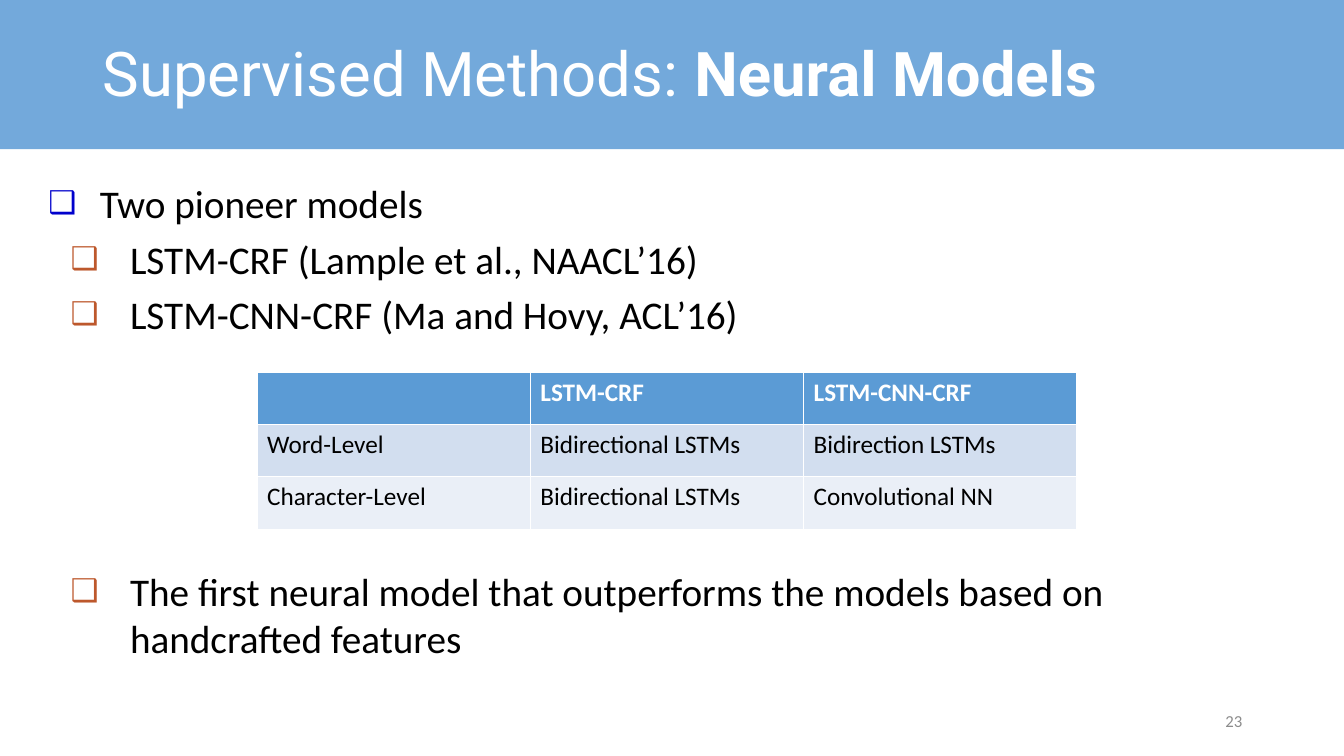
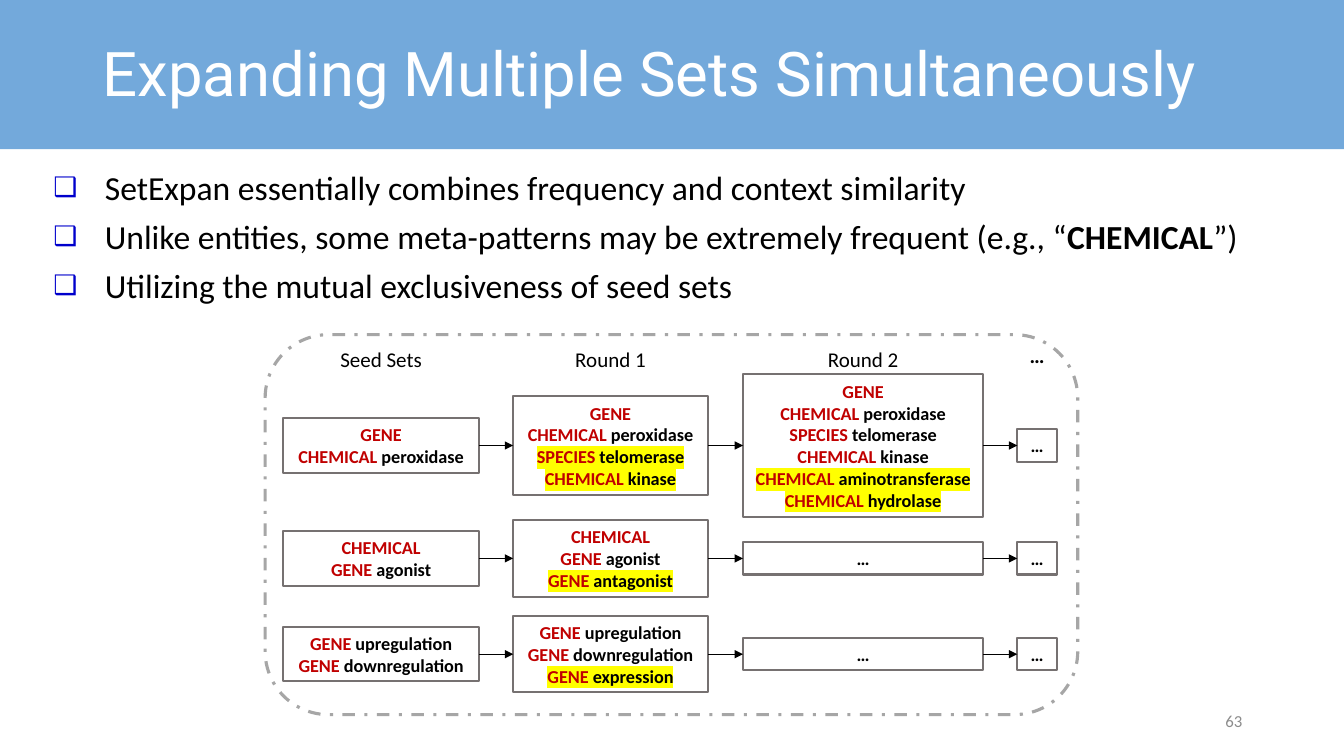
import pptx
import pptx.dml.color
import pptx.enum.dml
import pptx.enum.shapes
import pptx.enum.text
import pptx.oxml
import pptx.oxml.ns
import pptx.util
from lxml import etree

PX = 9144  # EMU, 100 px to the inch
COLORS = {
    "band": "5B9BD5", "white": "FFFFFF", "text": "000000", "page": "8C8C8C",
    "bullet": "0000CC", "sub_bullet": "BD582C",
    "head_row": "5B9BD5", "odd_row": "D2DEEF", "even_row": "EAEFF7",
    "entity": "C00000", "new": "FFFF00", "box": "767171", "frame": "A6A6A6",
}
Pt = pptx.util.Pt
qn = pptx.oxml.ns.qn
ALIGN = pptx.enum.text.PP_ALIGN
ANCHOR = pptx.enum.text.MSO_ANCHOR
SHAPE = pptx.enum.shapes.MSO_SHAPE


def rgb(name):
    return pptx.dml.color.RGBColor.from_string(COLORS[name])


def style(run, size, color="text", bold=False, font="Calibri"):
    run.font.size = Pt(size)
    run.font.bold = bold
    run.font.color.rgb = rgb(color)
    run.font.name = font


# Titles and bullets; every second part of a text is bold
PAGES = [
    {
        "title": ["Supervised Methods: ", "Neural Models"],
        "number": "23",
        "body": (38, 173, 1247, 550),
        "size": 28,
        "bullets": [  # level, space before, parts
            (0, 0, ["Two pioneer models"]),
            (1, 6, ["LSTM-CRF (Lample et al., NAACL’16)"]),
            (1, 6, ["LSTM-CNN-CRF (Ma and Hovy, ACL’16)"]),
            (1, 164, ["The first neural model that outperforms the models "
                      "based on handcrafted features"]),
        ],
    },
    {
        "title": ["Expanding Multiple Sets Simultaneously"],
        "number": "63",
        "body": (43, 161, 1247, 160),
        "size": 24,
        "bullets": [
            (0, 0, ["SetExpan essentially combines frequency and context similarity"]),
            (0, 6, ["Unlike entities, some meta-patterns may be extremely "
                    "frequent (e.g., “", "CHEMICAL", "”)"]),
            (0, 6, ["Utilizing the mutual exclusiveness of seed sets"]),
        ],
    },
]
BULLET_LEVELS = [(51, -51, "bullet"), (81, -59, "sub_bullet")]

deck = pptx.Presentation()
deck.slide_width, deck.slide_height = 1333 * PX, 750 * PX
layout = deck.slide_layouts[1]
models, expansion = [deck.slides.add_slide(layout) for _ in PAGES]

# Shared band and title place, kept in the layout
band = models.shapes.add_shape(SHAPE.RECTANGLE, 0, 0, 1333 * PX, 148 * PX)
band.shadow.inherit = False
band.fill.solid()
band.fill.fore_color.rgb = rgb("band")
band.line.fill.background()
band_color = band._element.spPr.find(".//" + qn("a:srgbClr"))
etree.SubElement(band_color, qn("a:alpha"), val="85000")
layout.shapes._spTree.insert(2, band._element)
title_place = layout.placeholders[0]
title_place.left, title_place.top = 92 * PX, 3 * PX
title_place.width, title_place.height = 1150 * PX, 145 * PX

for slide, page in zip((models, expansion), PAGES):
    # Title
    heading = slide.shapes.title.text_frame
    heading.auto_size = pptx.enum.text.MSO_AUTO_SIZE.NONE
    heading.vertical_anchor = ANCHOR.MIDDLE
    heading.paragraphs[0].alignment = ALIGN.LEFT
    heading.paragraphs[0].line_spacing = 0.9
    for index, part in enumerate(page["title"]):
        run = heading.paragraphs[0].add_run()
        run.text = part
        style(run, 44, "white", index % 2 == 1, "Roboto")

    # Bullets
    body = slide.placeholders[1]
    body.left, body.top, body.width, body.height = [v * PX for v in page["body"]]
    points = body.text_frame
    points.auto_size = pptx.enum.text.MSO_AUTO_SIZE.NONE
    points.vertical_anchor = ANCHOR.TOP
    for index, (level, space, parts) in enumerate(page["bullets"]):
        point = points.add_paragraph() if index else points.paragraphs[0]
        margin, indent, bullet_color = BULLET_LEVELS[level]
        point.level = level
        props = point._p.get_or_add_pPr()
        props.set("marL", str(margin * PX))
        props.set("indent", str(indent * PX))
        color = etree.SubElement(props, qn("a:buClr"))
        etree.SubElement(color, qn("a:srgbClr"), val=COLORS[bullet_color])
        etree.SubElement(props, qn("a:buSzPct"), val="80000")
        etree.SubElement(props, qn("a:buFont"), typeface="Calibri")
        etree.SubElement(props, qn("a:buChar"), char="❑")
        point.space_before = Pt(space)
        for part_index, part in enumerate(parts):
            run = point.add_run()
            run.text = part
            style(run, page["size"], bold=part_index % 2 == 1)

    # Page number
    number = slide.shapes.add_textbox(942 * PX, 695 * PX, 300 * PX, 40 * PX).text_frame
    number.word_wrap = True
    number.vertical_anchor = ANCHOR.MIDDLE
    number.text = page["number"]
    number.paragraphs[0].alignment = ALIGN.RIGHT
    style(number.paragraphs[0].runs[0], 12, "page")

# Comparison of the two models
COMPARISON = [
    ["", "LSTM-CRF", "LSTM-CNN-CRF"],
    ["Word-Level", "Bidirectional LSTMs", "Bidirection LSTMs"],
    ["Character-Level", "Bidirectional LSTMs", "Convolutional NN"],
]
comparison = models.shapes.add_table(
    3, 3, 255 * PX, 369 * PX, 813 * PX, 156 * PX).table
for r, (row, fill) in enumerate(zip(COMPARISON, ("head_row", "odd_row", "even_row"))):
    for c, value in enumerate(row):
        cell = comparison.cell(r, c)
        cell.fill.solid()
        cell.fill.fore_color.rgb = rgb(fill)
        cell.text = value
        for run in cell.text_frame.paragraphs[0].runs:
            style(run, 18, "text" if r else "white", r == 0)

# Frame around the expansion rounds
frame = expansion.shapes.add_shape(
    SHAPE.ROUNDED_RECTANGLE, 263 * PX, 332 * PX, 806 * PX, 377 * PX)
frame.shadow.inherit = False
frame.fill.background()
frame.line.color.rgb = rgb("frame")
frame.line.width = Pt(2.25)
frame.line.dash_style = pptx.enum.dml.MSO_LINE.DASH_DOT

# Round headings: label, left, width, top of the label
ROUNDS = [("Seed Sets", 281, 194, 339), ("Round 1", 509, 193, 339),
          ("Round 2", 737, 238, 339), ("…", 1009, 39, 335)]
for label, left, width, top in ROUNDS:
    heading = expansion.shapes.add_textbox(
        left * PX, top * PX, width * PX, 35 * PX).text_frame
    heading.word_wrap = True
    heading.text = label
    heading.paragraphs[0].alignment = ALIGN.CENTER
    style(heading.paragraphs[0].runs[0], 15, bold=label == "…")

# Each set: its middle height, then the patterns that each round adds
SETS = [
    (442, [["GENE", "CHEMICAL peroxidase"],
           ["SPECIES telomerase", "CHEMICAL kinase"],
           ["CHEMICAL aminotransferase", "CHEMICAL hydrolase"]]),
    (554, [["CHEMICAL", "GENE agonist"], ["GENE antagonist"]]),
    (649, [["GENE upregulation", "GENE downregulation"], ["GENE expression"]]),
]
for middle, additions in SETS:
    known = []
    for step, (_, left, width, _) in enumerate(ROUNDS):
        added = additions[step] if step < len(additions) else []
        patterns = known + added if added else ["…"]
        height = 22 * len(patterns) + 10
        box = expansion.shapes.add_shape(
            SHAPE.RECTANGLE, left * PX, (middle - height // 2) * PX,
            width * PX, height * PX)
        box.shadow.inherit = False
        box.fill.background()
        box.line.color.rgb = rgb("box")
        box.line.width = Pt(1.5)
        box.text_frame.vertical_anchor = ANCHOR.MIDDLE
        for index, pattern in enumerate(patterns):
            line = (box.text_frame.add_paragraph() if index
                    else box.text_frame.paragraphs[0])
            line.alignment = ALIGN.CENTER
            entity, space, word = pattern.partition(" ")
            for part, color in ((entity, "entity" if added else "text"),
                                (space + word, "text")):
                if not part:
                    continue
                run = line.add_run()
                run.text = part
                style(run, 13, color, True)
                if step and pattern in added:
                    mark = etree.Element(qn("a:highlight"))
                    etree.SubElement(mark, qn("a:srgbClr"), val=COLORS["new"])
                    run._r.rPr.find(qn("a:solidFill")).addnext(mark)
        known = known + added

        # Arrow from the round before
        if step:
            _, last_left, last_width, _ = ROUNDS[step - 1]
            arrow = expansion.shapes.add_connector(
                pptx.enum.shapes.MSO_CONNECTOR.STRAIGHT,
                (last_left + last_width) * PX, middle * PX, left * PX, middle * PX)
            arrow.line.color.rgb = rgb("text")
            arrow.line.width = Pt(0.5)
            etree.SubElement(arrow.line._get_or_add_ln(), qn("a:tailEnd"), type="triangle")
            etree.SubElement(arrow._element.spPr, qn("a:effectLst"))

deck.save("out.pptx")
